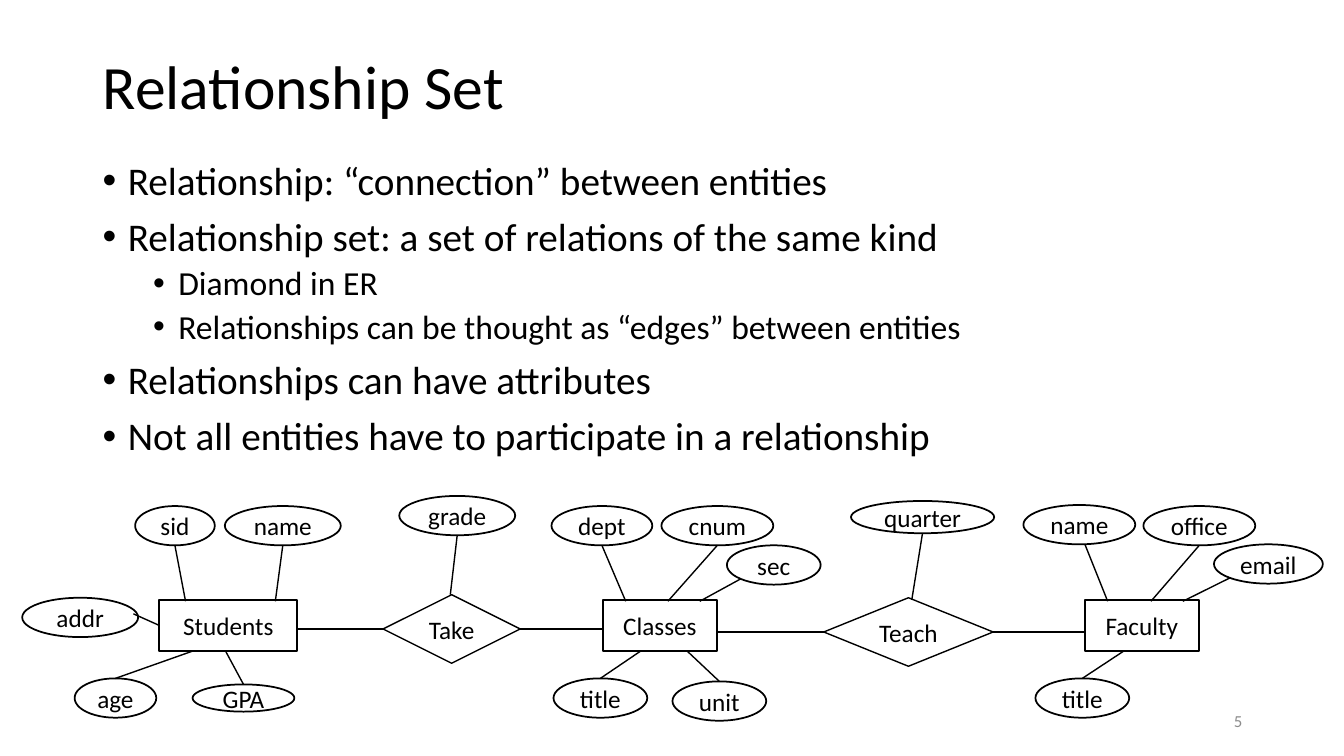
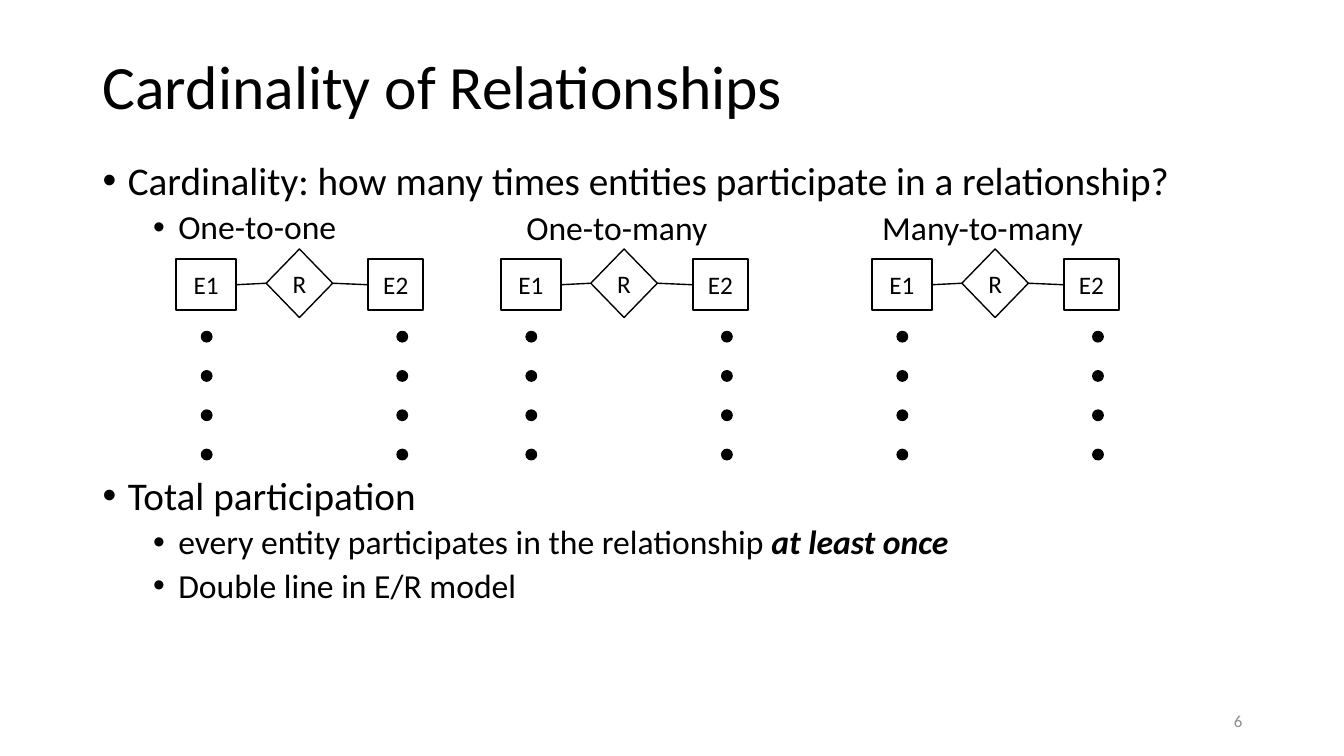
from lxml import etree
from pptx import Presentation
from pptx.dml.color import RGBColor
from pptx.enum import shapes, text
from pptx.oxml.ns import qn
from pptx.util import Inches, Pt

# Shared style
FONT, INK, PAPER, GREY = "Calibri", "000000", "FFFFFF", "8C8C8C"
TITLE_BOX = (0.92, 0.4, 11.5, 0.97)
BODY_BOX = (0.92, 1.55, 11.5, 5.21)
NUMBER_BOX = (9.42, 6.95, 3, 0.4)
LEVELS = [  # text size, left margin, space before
    (28, 0.25, 10),
    (24, 0.75, 5),
]
RECT = shapes.MSO_SHAPE.RECTANGLE
OVAL = shapes.MSO_SHAPE.OVAL
DIAMOND = shapes.MSO_SHAPE.DIAMOND
LINE_WIDTH = {RECT: 1.5, OVAL: 1.25, DIAMOND: 1}

# Points on a box, as shares of its width and height
TOP, BOTTOM, LEFT, RIGHT = (0.5, 0), (0.5, 1), (0, 0.5), (1, 0.5)
LOWER_LEFT = (0.15, 0.85)


def color(value):
    return RGBColor.from_string(value)


def add_span(para, words, size, ink=INK, strong=False):
    span = para.add_run()
    span.text = words
    span.font.name, span.font.size = FONT, Pt(size)
    span.font.color.rgb = color(ink)
    if strong:
        span.font.bold = span.font.italic = True


def text_box(page, box, anchor=text.MSO_ANCHOR.TOP):
    frame = page.shapes.add_textbox(*map(Inches, box)).text_frame
    frame.word_wrap = True
    frame.vertical_anchor = anchor
    return frame


def add_bullet(para, margin):
    props = para._p.get_or_add_pPr()
    props.set("marL", str(Inches(margin)))
    props.set("indent", str(Inches(-0.25)))
    etree.SubElement(props, qn("a:buFont")).set("typeface", "Arial")
    etree.SubElement(props, qn("a:buChar")).set("char", "•")


def base_page(deck, title, number, lines):
    """Title, bulleted body and page number; a line is (level, spans, gap)."""
    page = deck.slides.add_slide(deck.slide_layouts[6])
    middle = text.MSO_ANCHOR.MIDDLE
    para = text_box(page, TITLE_BOX, middle).paragraphs[0]
    para.line_spacing = 0.9
    add_span(para, title, 44)

    frame = text_box(page, BODY_BOX)
    for index, (level, spans, gap) in enumerate(lines):
        para = frame.add_paragraph() if index else frame.paragraphs[0]
        size, margin, before = LEVELS[level]
        para.level = level
        para.line_spacing, para.space_before = 0.9, Pt(before + gap)
        add_bullet(para, margin)
        for position, words in enumerate(spans):
            add_span(para, words, size, strong=position > 0)

    para = text_box(page, NUMBER_BOX, middle).paragraphs[0]
    para.alignment = text.PP_ALIGN.RIGHT
    add_span(para, str(number), 12, GREY)
    return page


def add_node(page, kind, box, label=None, fill=None):
    node = page.shapes.add_shape(kind, *map(Inches, box))
    node.shadow.inherit = False
    node.line.color.rgb = color(INK)
    node.line.width = Pt(LINE_WIDTH[kind])
    if fill:
        node.fill.solid()
        node.fill.fore_color.rgb = color(fill)
    else:
        node.fill.background()
    if label:
        frame = node.text_frame
        frame.word_wrap = False
        frame.margin_left = frame.margin_right = 0
        frame.margin_top = frame.margin_bottom = 0
        frame.vertical_anchor = text.MSO_ANCHOR.MIDDLE
        para = frame.paragraphs[0]
        para.alignment = text.PP_ALIGN.CENTER
        add_span(para, label, 18)


def point(box, share):
    left, top, width, height = box
    return left + share[0] * width, top + share[1] * height


def add_link(page, start, end):
    link = page.shapes.add_connector(
        shapes.MSO_CONNECTOR.STRAIGHT, *map(Inches, (*start, *end)))
    link.line.color.rgb = color(INK)
    link.line.width = Pt(1)
    etree.SubElement(link._element.spPr, qn("a:effectLst"))


def labelled_node(page, kind, label, box, attributes):
    """Entity or relationship with its attributes around it."""
    add_node(page, kind, box, label, PAPER if kind == DIAMOND else None)
    for name, oval, start, end in attributes:
        add_node(page, OVAL, oval, name)
        add_link(page, point(oval, start), point(box, end))


def level_link(page, diamond, left_box, right_box):
    """Horizontal links from a diamond to the entities on both sides."""
    for side, edge in ((LEFT, left_box[0] + left_box[2]),
                       (RIGHT, right_box[0])):
        x, y = point(diamond, side)
        add_link(page, (x, y), (edge, y))


# Entity-relationship diagram
STUDENTS, CLASSES, FACULTY = (
    (left, 5.95, width, 0.51)
    for left, width in ((1.58, 1.37), (5.98, 1.13), (10.76, 1.13)))
TAKE, TEACH = (3.8, 5.9, 1.36, 0.68), (8.17, 5.93, 1.68, 0.68)
DIAGRAM = [
    (RECT, "Students", STUDENTS, [
        ("sid", (1.34, 5.02, 0.79, 0.39), BOTTOM, (0.19, 0.03)),
        ("name", (2.23, 5.02, 1.15, 0.39), BOTTOM, (0.84, 0.03)),
        ("age", (0.74, 6.73, 0.81, 0.39), TOP, (0.24, 1)),
        ("GPA", (1.91, 6.79, 1.01, 0.27), TOP, (0.48, 1)),
        ("addr", (0.22, 5.93, 1.15, 0.39), (0.96, 0.41), LEFT)]),
    (RECT, "Classes", CLASSES, [
        ("dept", (5.47, 5.02, 1, 0.39), BOTTOM, (0.2, 0.03)),
        ("cnum", (6.56, 5.02, 1.11, 0.39), BOTTOM, (0.57, 0.03)),
        ("sec", (7.21, 5.41, 0.93, 0.39), LOWER_LEFT, (0.85, 0.03)),
        ("title", (5.49, 6.73, 0.93, 0.39), TOP, (0.33, 1)),
        ("unit", (6.67, 6.76, 0.93, 0.39), TOP, (0.74, 1))]),
    (RECT, "Faculty", FACULTY, [
        ("name", (10.15, 5.01, 1.11, 0.39), (0.55, 1), (0.2, 0.03)),
        ("office", (11.34, 5.02, 1.11, 0.39), BOTTOM, (0.58, 0.03)),
        ("email", (12.04, 5.4, 1.08, 0.39), LOWER_LEFT, (0.86, 0.03)),
        ("title", (10.27, 6.73, 0.93, 0.39), TOP, (0.34, 1))]),
    (DIAMOND, "Take", TAKE, [
        ("grade", (3.96, 4.92, 1.15, 0.39), BOTTOM, (0.49, 0))]),
    (DIAMOND, "Teach", TEACH, [
        ("quarter", (8.44, 4.97, 1.42, 0.32), BOTTOM, (0.52, 0.03))]),
]


def relationship_page(deck):
    page = base_page(deck, "Relationship Set", 5, [
        (0, ["Relationship: “connection” between entities"], 0),
        (0, ["Relationship set: a set of relations of the same kind"], 0),
        (1, ["Diamond in ER"], 0),
        (1, ["Relationships can be thought as “edges” between entities"], 0),
        (0, ["Relationships can have attributes"], 0),
        (0, ["Not all entities have to participate in a relationship"], 0),
    ])
    for kind, label, box, attributes in DIAGRAM:
        labelled_node(page, kind, label, box, attributes)
    level_link(page, TAKE, STUDENTS, CLASSES)
    level_link(page, TEACH, CLASSES, FACULTY)


def cardinality_panel(page, left, top):
    """Two entities joined by a relationship, with members below each."""
    first = (left, top, 0.59, 0.51)
    diamond = (left + 0.89, top - 0.1, 0.66, 0.68)
    second = (left + 1.9, top, 0.55, 0.51)
    add_node(page, RECT, first, "E1")
    add_node(page, RECT, second, "E2")
    add_node(page, DIAMOND, diamond, "R", PAPER)
    add_link(page, point(first, RIGHT), point(diamond, LEFT))
    add_link(page, point(diamond, RIGHT), point(second, LEFT))
    for offset in (0.25, 2.19):
        for row in range(4):
            member = (left + offset, top + 0.72 + 0.39 * row, 0.1, 0.1)
            add_node(page, OVAL, member, fill=INK)


def column_caption(page, words, left):
    """Caption level with the first second-level bullet."""
    frame = text_box(page, (left, 2.1, 2.4, 0.4))
    frame.margin_left = frame.margin_top = 0
    para = frame.paragraphs[0]
    para.line_spacing = 0.9
    add_span(para, words, LEVELS[1][0])


def cardinality_page(deck):
    page = base_page(deck, "Cardinality of Relationships", 6, [
        (0, ["Cardinality: how many times entities participate in a "
             "relationship?"], 0),
        (1, ["One-to-one"], 0),
        (0, ["Total participation"], 154),  # room for the panels
        (1, ["every entity participates in the relationship ",
             "at least once"], 0),
        (1, ["Double line in E/R model"], 0),
    ])
    column_caption(page, "One-to-many", 5.22)
    column_caption(page, "Many-to-many", 8.75)
    for left in (1.75, 4.97, 8.65):
        cardinality_panel(page, left, 2.57)


deck = Presentation()
deck.slide_width, deck.slide_height = Inches(13.33), Inches(7.5)
relationship_page(deck)
cardinality_page(deck)
deck.save("out.pptx")
